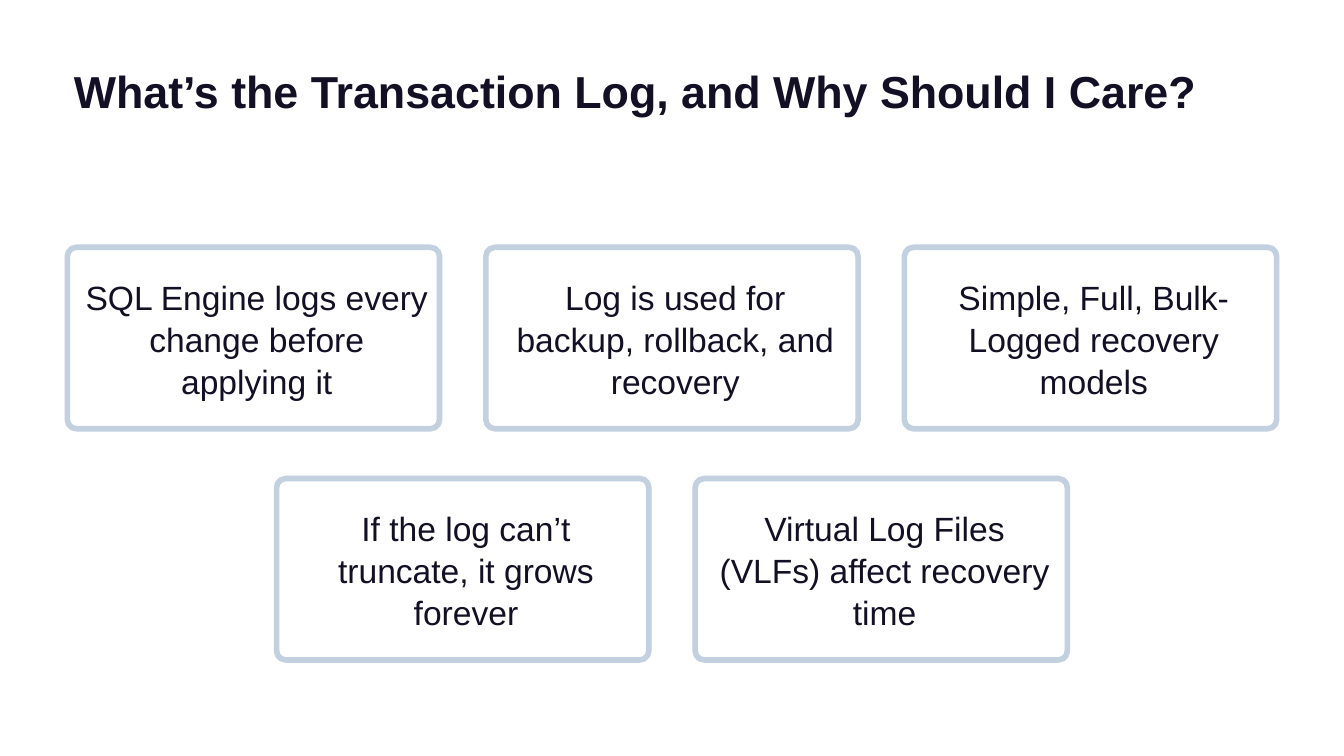
from pptx import Presentation
from pptx.dml.color import RGBColor
from pptx.enum.shapes import MSO_SHAPE as Shape
from pptx.enum.text import MSO_ANCHOR as Anchor, PP_ALIGN as Align
from pptx.util import Cm, Pt

TITLE = "What’s the Transaction Log, and Why Should I Care?"
ROWS = [
    [
        "SQL Engine logs every change before applying it",
        "Log is used for backup, rollback, and recovery",
        "Simple, Full, Bulk-Logged recovery models",
    ],
    [
        "If the log can’t truncate, it grows forever",
        "Virtual Log Files (VLFs) affect recovery time",
    ],
]
INK, BORDER, PAPER = "130F25", "C2D0E0", "FFFFFF"
PAGE_WIDTH, PAGE_HEIGHT = 50.8, 28.58
CARD_WIDTH, CARD_HEIGHT = 14.07, 6.86
COLUMN_GAP, ROW_GAP, FIRST_TOP = 1.75, 1.88, 9.35


def color(value):
    return RGBColor.from_string(value)


def write(box, text, size, bold=False, align=Align.LEFT, anchor=Anchor.TOP,
          spacing=1.0, left=0.25):
    frame = box.text_frame
    frame.word_wrap = True
    frame.vertical_anchor = anchor
    frame.margin_left, frame.margin_right = Cm(left), Cm(0.25)
    frame.margin_top = frame.margin_bottom = Cm(0.25)
    para = frame.paragraphs[0]
    para.alignment = align
    para.line_spacing = spacing
    span = para.add_run()
    span.text = text
    span.font.name = "Arial"
    span.font.size = Pt(size)
    span.font.bold = bold
    span.font.color.rgb = color(INK)


def add_card(page, text, left, top):
    card = page.shapes.add_shape(
        Shape.ROUNDED_RECTANGLE, Cm(left), Cm(top), Cm(CARD_WIDTH), Cm(CARD_HEIGHT))
    card.adjustments[0] = 0.05
    card.shadow.inherit = False
    card.fill.background()
    card.line.color.rgb = color(BORDER)
    card.line.width = Pt(6)
    write(card, text, 36, align=Align.CENTER, anchor=Anchor.MIDDLE,
          spacing=1.04, left=0.5)


def main():
    deck = Presentation()
    deck.slide_width, deck.slide_height = Cm(PAGE_WIDTH), Cm(PAGE_HEIGHT)
    page = deck.slides.add_slide(deck.slide_layouts[5])
    page.background.fill.solid()
    page.background.fill.fore_color.rgb = color(PAPER)

    title = page.shapes.title
    title.left, title.top = Cm(2.54), Cm(2.39)
    title.width, title.height = Cm(45.7), Cm(2.26)
    write(title, TITLE, 48, bold=True, spacing=0.9)

    for row, texts in enumerate(ROWS):
        row_width = len(texts) * (CARD_WIDTH + COLUMN_GAP) - COLUMN_GAP
        start = (PAGE_WIDTH - row_width) / 2
        top = FIRST_TOP + row * (CARD_HEIGHT + ROW_GAP)
        for column, text in enumerate(texts):
            add_card(page, text, start + column * (CARD_WIDTH + COLUMN_GAP), top)

    deck.save("out.pptx")


if __name__ == "__main__":
    main()
